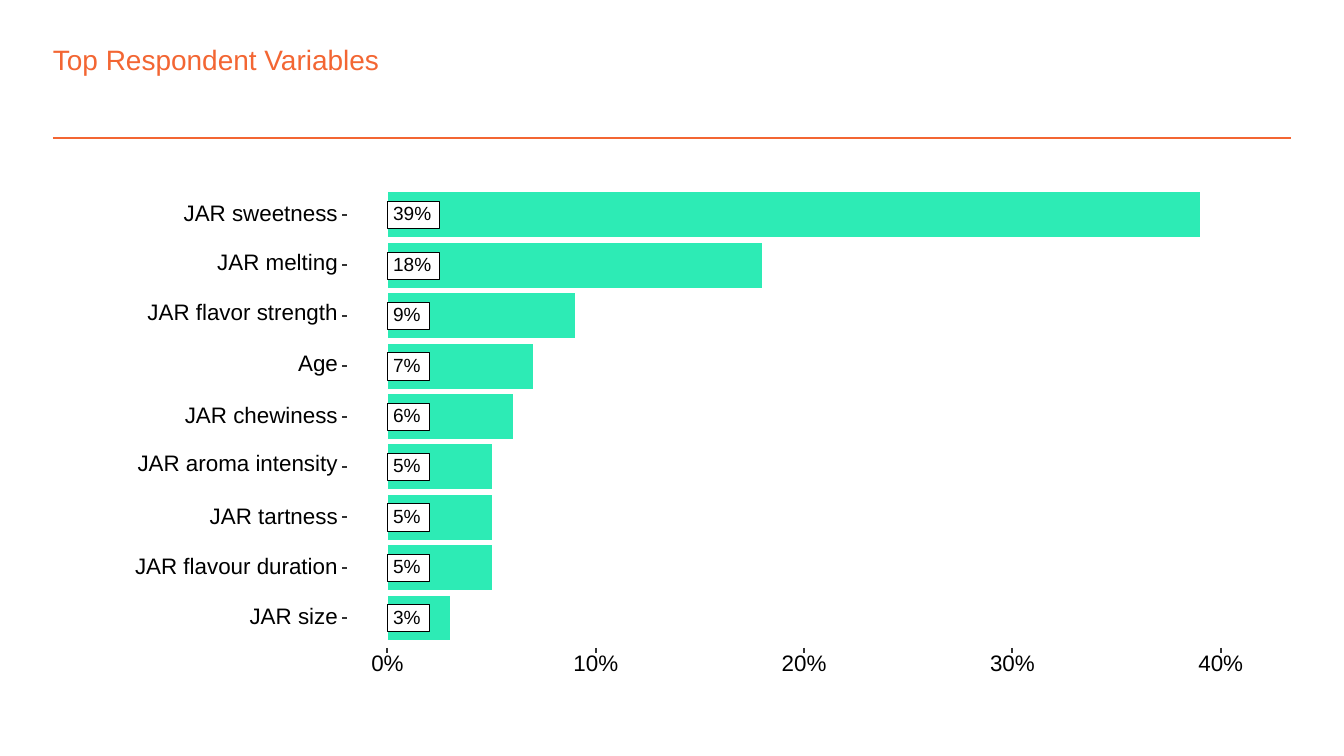
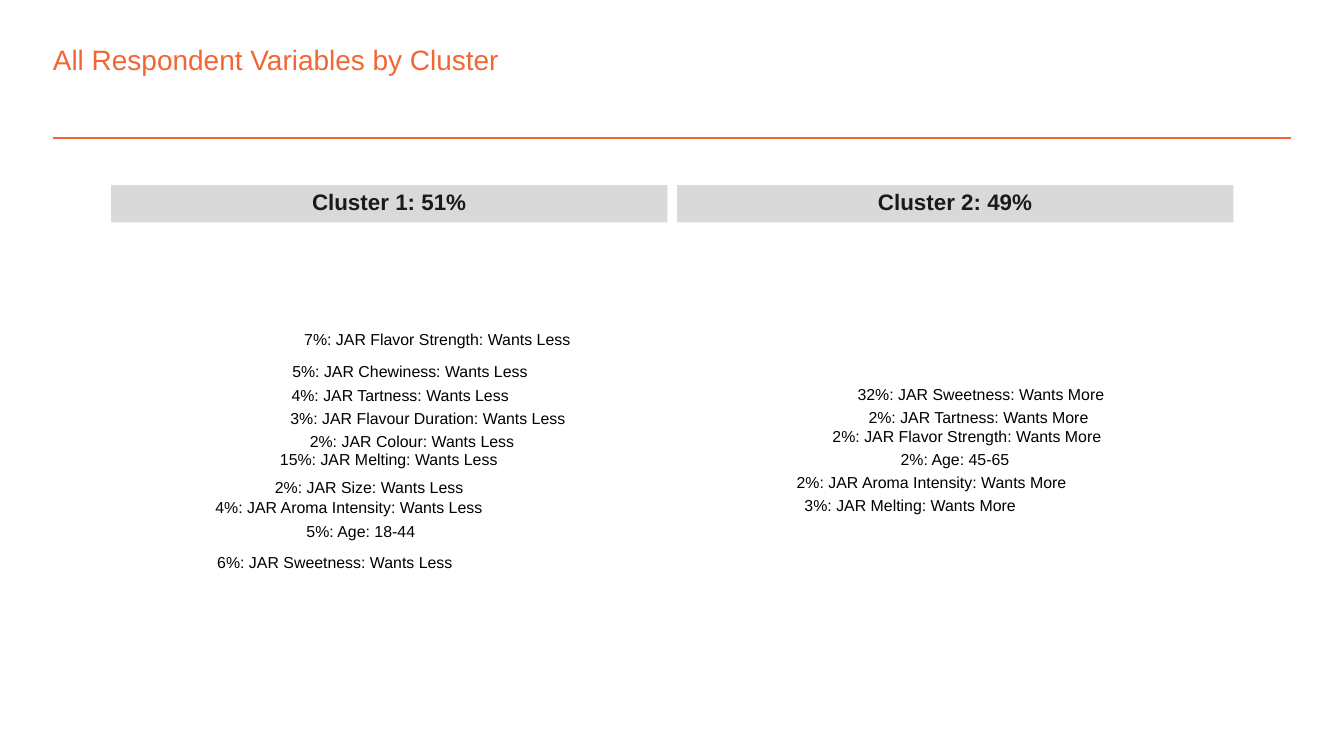
from dataclasses import dataclass
from typing import NamedTuple

from pptx import Presentation
from pptx.chart.data import CategoryChartData
from pptx.dml.color import RGBColor
from pptx.enum.chart import XL_CHART_TYPE as Kind
from pptx.enum.shapes import MSO_CONNECTOR as Link, MSO_SHAPE as Form
from pptx.enum.text import MSO_ANCHOR as Anchor, PP_ALIGN as Align
from pptx.oxml import parse_xml
from pptx.oxml.ns import nsdecls, qn
from pptx.shapes.autoshape import Shape
from pptx.slide import Slide
from pptx.text.text import TextFrame
from pptx.util import Pt


@dataclass(frozen=True)
class Theme:
    font: str = "Arial"
    accent: str = "F36633"
    bar: str = "2DEBB5"
    band: str = "D9D9D9"
    head: str = "1A1A1A"
    ink: str = "000000"
    tick: str = "333333"
    paper: str = "FFFFFF"
    title: float = 15
    label: float = 12
    value: float = 10.2
    note: float = 8.5


class Box(NamedTuple):
    left: float
    top: float
    width: float
    height: float


class Row(NamedTuple):
    name: str
    share: float


class Note(NamedTuple):
    left: float
    mid: float
    text: str


class Cluster(NamedTuple):
    head: str
    notes: list[Note]


THEME = Theme()
FRAME = Box(54, 93.6, 612, 288)
PLOT = Box(207.6, 101.7, 446.4, 243)
STEP = 0.1
TOP = 0.4

ROWS = [
    Row("JAR sweetness", 0.39),
    Row("JAR melting", 0.18),
    Row("JAR flavor strength", 0.09),
    Row("Age", 0.07),
    Row("JAR chewiness", 0.06),
    Row("JAR aroma intensity", 0.05),
    Row("JAR tartness", 0.05),
    Row("JAR flavour duration", 0.05),
    Row("JAR size", 0.03),
]

CLUSTERS = [
    Cluster("Cluster 1: 51%", [
        Note(163, 182.8, "7%: JAR Flavor Strength: Wants Less"),
        Note(156.6, 199.8, "5%: JAR Chewiness: Wants Less"),
        Note(156.2, 212.8, "4%: JAR Tartness: Wants Less"),
        Note(155.6, 225, "3%: JAR Flavour Duration: Wants Less"),
        Note(166, 237.2, "2%: JAR Colour: Wants Less"),
        Note(150, 247, "15%: JAR Melting: Wants Less"),
        Note(147.3, 261.7, "2%: JAR Size: Wants Less"),
        Note(115.4, 272.5, "4%: JAR Aroma Intensity: Wants Less"),
        Note(164.2, 285.5, "5%: Age: 18-44"),
        Note(116.4, 302, "6%: JAR Sweetness: Wants Less"),
    ]),
    Cluster("Cluster 2: 49%", [
        Note(459.4, 212, "32%: JAR Sweetness: Wants More"),
        Note(465.3, 224.3, "2%: JAR Tartness: Wants More"),
        Note(446, 234.4, "2%: JAR Flavor Strength: Wants More"),
        Note(482.5, 247, "2%: Age: 45-65"),
        Note(426.8, 259.2, "2%: JAR Aroma Intensity: Wants More"),
        Note(431, 271.4, "3%: JAR Melting: Wants More"),
    ]),
]


def paint(code: str) -> RGBColor:
    return RGBColor.from_string(code)


def points(box: Box) -> list[Pt]:
    return [Pt(side) for side in box]


def write(frame: TextFrame, text: str, size: float, color: str = THEME.ink,
          align: Align = Align.LEFT, bold: bool = False, pad: float = 0) -> None:
    frame.text = text
    frame.word_wrap = True
    frame.vertical_anchor = Anchor.MIDDLE
    frame.margin_left, frame.margin_right = Pt(pad), Pt(0)
    frame.margin_top = frame.margin_bottom = Pt(0)
    para = frame.paragraphs[0]
    para.alignment = align
    para.line_spacing = Pt(size)
    font = para.runs[0].font
    font.name, font.size, font.bold = THEME.font, Pt(size), bold
    font.color.rgb = paint(color)


def add_text(slide: Slide, box: Box, text: str, size: float,
             color: str = THEME.ink, align: Align = Align.LEFT) -> None:
    frame = slide.shapes.add_textbox(*points(box)).text_frame
    write(frame, text, size, color, align)


def add_rect(slide: Slide, box: Box, fill: str) -> Shape:
    rect = slide.shapes.add_shape(Form.RECTANGLE, *points(box))
    rect.shadow.inherit = False
    rect.fill.solid()
    rect.fill.fore_color.rgb = paint(fill)
    rect.line.fill.background()
    return rect


def add_line(slide: Slide, start: tuple[float, float], end: tuple[float, float],
             color: str = THEME.tick, width: float = 1.07) -> None:
    ends = [Pt(at) for at in (*start, *end)]
    line = slide.shapes.add_connector(Link.STRAIGHT, *ends)
    line.line.color.rgb = paint(color)
    line.line.width = Pt(width)
    line._element.spPr.append(parse_xml(f"<a:effectLst {nsdecls('a')}/>"))


def add_slide(deck: Presentation, title: str) -> Slide:
    slide = deck.slides.add_slide(deck.slide_layouts[6])
    add_line(slide, (28.35, 74), (691.65, 74), THEME.accent, 1)
    add_text(slide, Box(28.35, 24, 597, 18), title, THEME.title, THEME.accent)
    return slide


def fix_plot(area) -> None:
    """Pin the inner plot area to PLOT within FRAME."""
    for old in area.findall(qn("c:layout")):
        area.remove(old)
    parts = {
        "x": (PLOT.left - FRAME.left) / FRAME.width,
        "y": (PLOT.top - FRAME.top) / FRAME.height,
        "w": PLOT.width / FRAME.width,
        "h": PLOT.height / FRAME.height,
    }
    modes = "".join(f'<c:{key}Mode val="edge"/>' for key in "xy")
    sides = "".join(f'<c:{key} val="{val:.4f}"/>' for key, val in parts.items())
    area.insert(0, parse_xml(
        f'<c:layout {nsdecls("c")}><c:manualLayout><c:layoutTarget val="inner"/>'
        f"{modes}{sides}</c:manualLayout></c:layout>"))


def add_bars(slide: Slide) -> None:
    data = CategoryChartData(number_format="0%")
    data.categories = [row.name for row in reversed(ROWS)]
    data.add_series("Share", [row.share for row in reversed(ROWS)])
    chart = slide.shapes.add_chart(Kind.BAR_CLUSTERED, *points(FRAME), data).chart
    chart.has_legend = chart.has_title = False
    chart.font.name, chart.font.size = THEME.font, Pt(THEME.label)
    chart.font.color.rgb = paint(THEME.ink)
    fix_plot(chart._chartSpace.chart.plotArea)

    chart.category_axis.visible = False
    axis = chart.value_axis
    axis.minimum_scale, axis.maximum_scale, axis.major_unit = 0, TOP, STEP
    axis.has_major_gridlines = False
    axis.visible = False

    plot = chart.plots[0]
    plot.gap_width, plot.vary_by_categories = 12, False
    fill = plot.series[0].format.fill
    fill.solid()
    fill.fore_color.rgb = paint(THEME.bar)


def add_tag(slide: Slide, mid: float, text: str) -> None:
    width = 22.4 if len(text) == 2 else 27.8
    tag = add_rect(slide, Box(PLOT.left, mid - 7.2, width, 14.6), THEME.paper)
    tag.line.color.rgb = paint(THEME.ink)
    tag.line.width = Pt(0.53)
    write(tag.text_frame, text, THEME.value, pad=3)


def add_axes(slide: Slide) -> None:
    """Row names, ticks and scale, set apart from the bars."""
    pitch = PLOT.height / len(ROWS)
    for i, row in enumerate(ROWS):
        mid = PLOT.top + pitch * (i + 0.5)
        lift = 1 if set("gy") & set(row.name) else 0
        add_text(slide, Box(60, mid - 6 - lift, 121, 12), row.name, THEME.label,
                 align=Align.RIGHT)
        add_line(slide, (183.4, mid), (186.1, mid))
        add_tag(slide, mid, f"{row.share:.0%}")
    count = round(TOP / STEP)
    for i in range(count + 1):
        left = PLOT.left + PLOT.width * i / count
        add_line(slide, (left, 347.1), (left, 349.8))
        add_text(slide, Box(left - 15, 350, 30, 12), f"{i * STEP:.0%}",
                 THEME.label, align=Align.CENTER)


def add_cluster(slide: Slide, left: float, group: Cluster) -> None:
    add_rect(slide, Box(left, 99.2, 298, 20), THEME.band)
    head = slide.shapes.add_textbox(*points(Box(left, 103, 298, 12)))
    write(head.text_frame, group.head, THEME.label, THEME.head, Align.CENTER, True)
    for note in group.notes:
        add_text(slide, Box(note.left, note.mid - 4, 160, 8), note.text, THEME.note)


def main() -> None:
    deck = Presentation()
    deck.slide_width, deck.slide_height = Pt(720), Pt(405)
    slide = add_slide(deck, "Top Respondent Variables")
    add_bars(slide)
    add_axes(slide)
    slide = add_slide(deck, "All Respondent Variables by Cluster")
    for i, group in enumerate(CLUSTERS):
        add_cluster(slide, 59.5 + 303.2 * i, group)
    deck.save("out.pptx")


if __name__ == "__main__":
    main()
